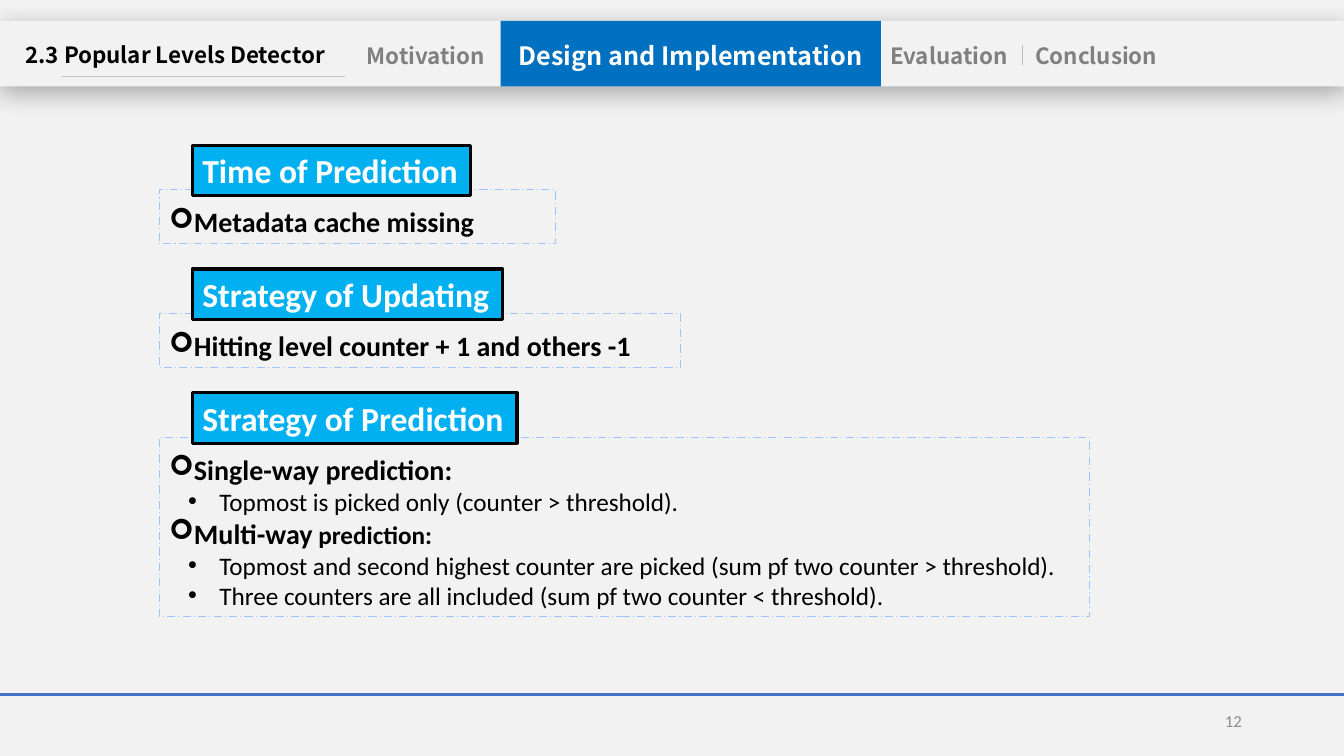
from dataclasses import dataclass

from lxml.etree import SubElement
from pptx import Presentation
from pptx.dml.color import RGBColor
from pptx.enum.dml import MSO_LINE
from pptx.enum.shapes import MSO_CONNECTOR, MSO_SHAPE
from pptx.enum.text import MSO_ANCHOR, MSO_AUTO_SIZE, PP_ALIGN as ALIGN
from pptx.oxml.ns import qn
from pptx.util import Cm, Pt


@dataclass(frozen=True)
class Theme:
    body_font: str = "Calibri"
    nav_font: str = "Noto Sans CJK SC"
    page: str = "F2F2F2"
    black: str = "000000"
    white: str = "FFFFFF"
    muted: str = "808080"
    number: str = "8C8C8C"
    rule: str = "BFBFBF"
    active: str = "0070C0"
    label: str = "00B0F0"
    frame: str = "9CC5FD"
    footer: str = "4472C4"
    number_size: int = 12
    nav_size: int = 16
    detail_size: int = 18
    point_size: int = 20
    label_size: int = 24


class SlideBuilder:
    def __init__(self, prs, theme):
        self.theme = theme
        self.s = prs.slides.add_slide(prs.slide_layouts[5])
        self.fill(self.s.background, theme.page)

    def fill(self, target, color):
        target.fill.solid()
        target.fill.fore_color.rgb = RGBColor.from_string(color)

    def stroke(self, line, color, width):
        line.color.rgb = RGBColor.from_string(color)
        line.width = Pt(width)

    def rect(self, box, fill=None):
        sp = self.s.shapes.add_shape(MSO_SHAPE.RECTANGLE, *map(Cm, box))
        sp.shadow.inherit = False
        if fill:
            self.fill(sp, fill)
        else:
            sp.fill.background()
        sp.line.fill.background()
        return sp

    def frame(self, sp, insets, wrap=True, anchor=MSO_ANCHOR.TOP):
        tf = sp.text_frame
        tf.word_wrap = wrap
        tf.auto_size = MSO_AUTO_SIZE.SHAPE_TO_FIT_TEXT
        tf.vertical_anchor = anchor
        tf.margin_left = tf.margin_right = Cm(insets[0])
        tf.margin_top, tf.margin_bottom = Cm(insets[1]), Cm(insets[2])
        return tf

    def run(self, p, text, size, color, bold=True, font=None):
        r = p.add_run()
        r.text = text
        r.font.size = Pt(size)
        r.font.bold = bold
        r.font.name = font or self.theme.body_font
        r.font.color.rgb = RGBColor.from_string(color)

    def nav_text(self, sp, text, size, color, align=ALIGN.CENTER, top=0.1):
        p = self.frame(sp, (0, top, 0.1)).paragraphs[0]
        p.alignment = align
        self.run(p, text, size, color, font=self.theme.nav_font)

    def band(self, box):
        sp = self.rect(box, self.theme.page)
        effects = sp.element.spPr.find(qn("a:effectLst"))
        shadow = SubElement(effects, qn("a:outerShdw"), blurRad=str(Pt(18)),
                            dist=str(Pt(4)), dir="5400000", algn="t", rotWithShape="0")
        color = SubElement(shadow, qn("a:srgbClr"), val=self.theme.black)
        SubElement(color, qn("a:alpha"), val="29000")

    def title(self, text, box):
        sp = self.s.shapes.title
        sp.element.getparent().append(sp.element)
        sp.left, sp.top, sp.width, sp.height = map(Cm, box)
        self.nav_text(sp, text, self.theme.nav_size, self.theme.black, ALIGN.LEFT)

    def tab(self, text, left, width):
        sp = self.s.shapes.add_textbox(Cm(left), Cm(0.97), Cm(width), Cm(0.89))
        self.nav_text(sp, text, self.theme.nav_size, self.theme.muted)

    def active_tab(self, text, box):
        sp = self.rect(box, self.theme.active)
        self.nav_text(sp, text, self.theme.detail_size, self.theme.white, top=0.48)

    def line(self, x1, y1, x2, y2, color, width):
        cx = self.s.shapes.add_connector(MSO_CONNECTOR.STRAIGHT, *map(Cm, (x1, y1, x2, y2)))
        self.stroke(cx.line, color, width)
        SubElement(cx.element.spPr, qn("a:effectLst"))

    def label(self, text, box):
        sp = self.rect(box, self.theme.label)
        self.stroke(sp.line, self.theme.black, 2.25)
        p = self.frame(sp, (0.25, 0.13, 0.13), wrap=False).paragraphs[0]
        p.alignment = ALIGN.LEFT
        self.run(p, text, self.theme.label_size, self.theme.white)

    def points(self, items, box):
        sp = self.rect(box)
        self.stroke(sp.line, self.theme.frame, 0.75)
        sp.line.dash_style = MSO_LINE.LONG_DASH_DOT
        tf = self.frame(sp, (0.25, 0.38, 0.13))
        for i, (level, runs) in enumerate(items):
            p = tf.add_paragraph() if i else tf.paragraphs[0]
            p.alignment = ALIGN.LEFT
            p.level = level
            pPr = p._p.get_or_add_pPr()
            pPr.set("marL", str(Cm(1.27 * (level - 1))))
            pPr.set("indent", str(-Cm(0.79)))
            SubElement(pPr, qn("a:buFont"), typeface="Arial" if level == 2 else "Wingdings")
            SubElement(pPr, qn("a:buChar"), char="•" if level == 2 else "➢")
            for text, size in runs:
                self.run(p, text, size, self.theme.black, bold=level == 1)

    def page_number(self, text, box):
        sp = self.s.shapes.add_textbox(*map(Cm, box))
        tf = self.frame(sp, (0.25, 0.13, 0.13), anchor=MSO_ANCHOR.MIDDLE)
        tf.auto_size = MSO_AUTO_SIZE.NONE
        p = tf.paragraphs[0]
        p.alignment = ALIGN.RIGHT
        self.run(p, text, self.theme.number_size, self.theme.number, bold=False)


def main():
    prs = Presentation()
    prs.slide_width, prs.slide_height = Cm(33.87), Cm(19.05)
    theme = Theme()
    b = SlideBuilder(prs, theme)

    b.band((0, 0.53, 33.87, 1.65))
    for name, left, width in (("Motivation", 9.12, 3.23), ("Evaluation", 22.05, 3.73),
                              ("Conclusion", 25.76, 3.73)):
        b.tab(name, left, width)
    b.line(25.76, 1.14, 25.76, 1.65, theme.rule, 0.5)
    b.active_tab("Design and Implementation", (12.62, 0.53, 9.58, 1.65))
    b.title("2.3 Popular Levels Detector", (0.64, 0.94, 8.97, 0.89))
    b.line(1.57, 1.93, 8.69, 1.93, theme.rule, 0.5)
    b.line(0, 17.5, 33.87, 17.5, theme.footer, 1.5)
    b.page_number("12", (23.93, 17.65, 7.62, 1.02))

    big, small = theme.point_size, theme.detail_size
    sections = (
        ("Time of Prediction", 7.01, 9.98, 1.37, [(1, [("Metadata cache missing", big)])]),
        ("Strategy of Updating", 7.82, 13.13, 1.37,
         [(1, [("Hitting level counter + 1 and others -1", big)])]),
        ("Strategy of Prediction", 8.18, 23.44, 4.52, [
            (1, [("Single-way prediction:", big)]),
            (2, [("Topmost is picked only (counter > threshold).", small)]),
            (1, [("Multi-way", big), (" prediction:", small)]),
            (2, [("Topmost and second highest counter are picked "
                  "(sum pf two counter > threshold).", small)]),
            (2, [("Three counters are all included (sum pf two counter < threshold).", small)]),
        ]),
    )
    for i, (heading, label_width, box_width, box_height, items) in enumerate(sections):
        top = 3.66 + 3.12 * i
        b.points(items, (4.01, top + 1.12, box_width, box_height))
        b.label(heading, (4.85, top, label_width, 1.27))

    prs.save("out.pptx")


if __name__ == "__main__":
    main()
